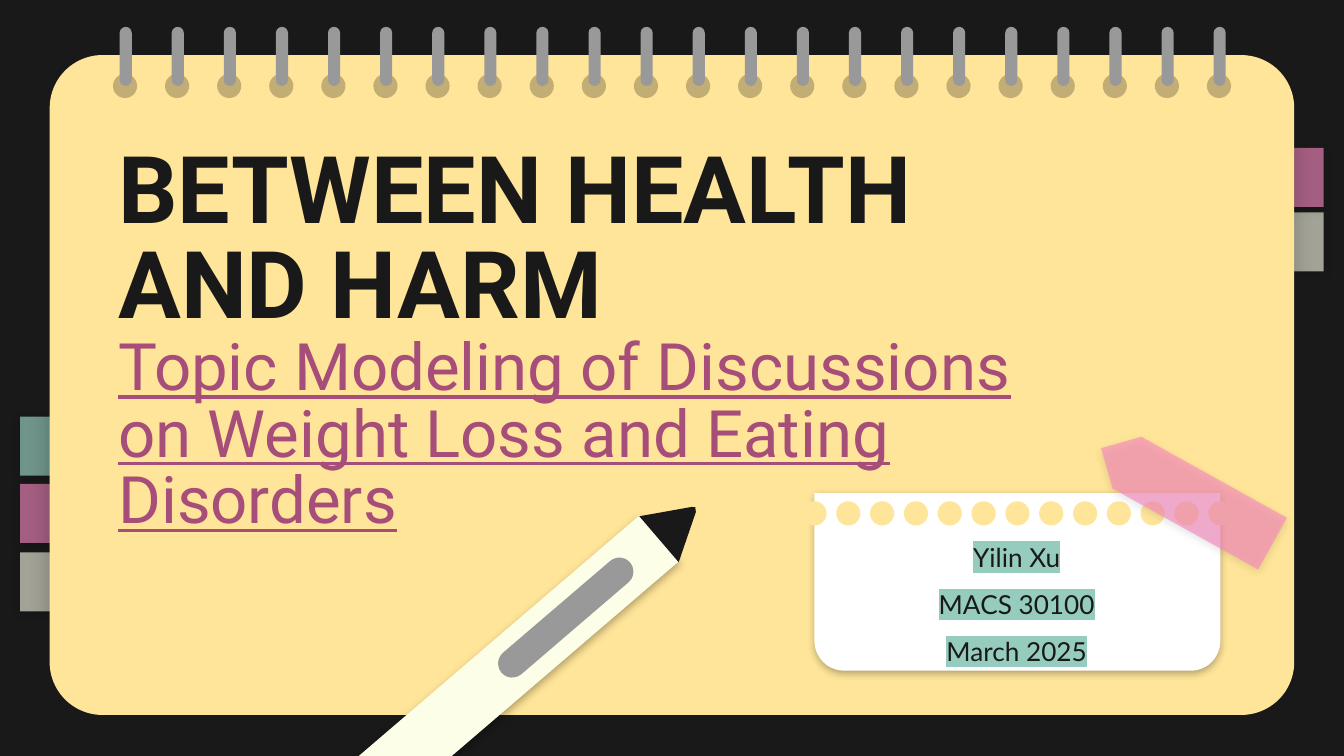
from dataclasses import dataclass
from typing import Optional

import pptx
import pptx.dml.color
import pptx.enum.shapes
import pptx.enum.text
import pptx.oxml
import pptx.oxml.ns
import pptx.util
from pptx.util import Inches

MSO = pptx.enum.shapes.MSO_SHAPE
COLORS = {
    "ink": "191919", "black": "000000", "paper": "FFE599", "white": "FFFFFF",
    "cream": "FCFEE8", "pink": "F688BE", "teal": "96CCBE", "gray": "999999",
    "plum": "A64D79",
}
PEN_ANGLE = 319.4


@dataclass
class Shadow:
    color: str = "black"
    alpha: int = 25
    blur: float = 4.5
    dist: float = 1.5
    angle: int = 90


@dataclass
class Part:
    """A preset shape; lengths in inches, alpha in percent."""
    kind: int
    left: float
    top: float
    width: float
    height: float
    color: str
    alpha: int = 100
    adj: tuple = ()
    rotation: float = 0
    shadow: Optional[Shadow] = None


def rgb(name: str) -> pptx.dml.color.RGBColor:
    return pptx.dml.color.RGBColor.from_string(COLORS[name])


def element(xml: str):
    """Parse a drawing element, adding the namespace after its tag name."""
    tag, rest = xml.split(" ", 1)
    return pptx.oxml.parse_xml(f"{tag} {pptx.oxml.ns.nsdecls('a')} {rest}")


def paint(sp, color: str, alpha: int = 100, shadow: Optional[Shadow] = None) -> None:
    sp.fill.solid()
    sp.fill.fore_color.rgb = rgb(color)
    sp.line.fill.background()
    sp.shadow.inherit = False
    props = sp._element.spPr
    if alpha < 100:
        clr = props.find(".//" + pptx.oxml.ns.qn("a:srgbClr"))
        clr.append(element(f'<a:alpha val="{alpha * 1000}"/>'))
    if shadow:
        props.find(pptx.oxml.ns.qn("a:effectLst")).append(element(
            f'<a:outerShdw blurRad="{int(shadow.blur * 12700)}" '
            f'dist="{int(shadow.dist * 12700)}" dir="{shadow.angle * 60000}" '
            f'algn="bl" rotWithShape="0"><a:srgbClr val="{COLORS[shadow.color]}">'
            f'<a:alpha val="{shadow.alpha * 1000}"/></a:srgbClr></a:outerShdw>'))


def draw(s, part: Part) -> None:
    sp = s.shapes.add_shape(part.kind, Inches(part.left), Inches(part.top),
                            Inches(part.width), Inches(part.height))
    for i, value in enumerate(part.adj):
        sp.adjustments[i] = value
    sp.rotation = part.rotation
    paint(sp, part.color, part.alpha, part.shadow)


def add_run(p, text: str, font: str, size: int, color: str,
            bold: bool = False, underline: bool = False, highlight: str = "") -> None:
    r = p.add_run()
    r.text = text
    r.font.size = pptx.util.Pt(size)
    r.font.bold = bold
    r.font.underline = underline
    r.font.color.rgb = rgb(color)
    if highlight:
        r._r.rPr.append(element(
            f'<a:highlight ><a:srgbClr val="{COLORS[highlight]}"/></a:highlight>'))
    r.font.name = font


def set_frame(tf, anchor) -> None:
    tf.word_wrap = True
    tf.auto_size = pptx.enum.text.MSO_AUTO_SIZE.NONE
    tf.vertical_anchor = anchor
    tf.margin_left = tf.margin_right = tf.margin_top = tf.margin_bottom = Inches(0.1)


def draw_notebook(s) -> None:
    # Index tabs tucked behind the page
    for left, top, color, alpha in [
        (0.15, 4.11, "cream", 61), (0.15, 3.6, "pink", 64), (0.15, 3.1, "teal", 70),
        (8.39, 1.58, "cream", 61), (8.39, 1.1, "pink", 64),
    ]:
        draw(s, Part(MSO.RECTANGLE, left, top, 1.46, 0.44, color, alpha, shadow=Shadow()))
    # Page
    draw(s, Part(MSO.ROUNDED_RECTANGLE, 0.37, 0.41, 9.26, 4.91, "paper", adj=(0.08,),
                 shadow=Shadow("ink", 26, 11.2, 0.8, 124)))
    # Spiral binding
    rings = 22
    pitch = (8.98 - 0.84) / (rings - 1)
    for i in range(rings):
        left = 0.84 + i * pitch
        draw(s, Part(MSO.OVAL, left, 0.55, 0.18, 0.18, "black", 24))
        draw(s, Part(MSO.ROUNDED_RECTANGLE, left + 0.05, 0.2, 0.09, 0.44, "gray", adj=(0.5,)))


def draw_title(s) -> None:
    title = s.shapes.title
    s.shapes._spTree.append(title._element)  # bring in front of the page
    title.left, title.top = Inches(0.78), Inches(1.05)
    title.width, title.height = Inches(7.27), Inches(2.99)
    set_frame(title.text_frame, pptx.enum.text.MSO_ANCHOR.MIDDLE)
    p = title.text_frame.paragraphs[0]
    p.alignment = pptx.enum.text.PP_ALIGN.LEFT
    p.line_spacing = 0.85
    add_run(p, "BETWEEN HEALTH AND HARM", "Roboto", 50, "ink", bold=True)
    p.add_line_break()
    add_run(p, "Topic Modeling of Discussions on Weight Loss and Eating Disorders",
            "Roboto", 35, "plum", underline=True)


def draw_card(s) -> None:
    # Torn-off note with punched holes
    draw(s, Part(MSO.ROUND_2_SAME_RECTANGLE, 6.06, 3.67, 3.02, 1.32, "white",
                 adj=(0.167, 0), rotation=180, shadow=Shadow(alpha=30)))
    holes = 13
    pitch = (8.99 - 5.97) / (holes - 1)
    for i in range(holes):
        draw(s, Part(MSO.OVAL, 5.97 + i * pitch, 3.73, 0.18, 0.18, "paper"))
    # Author, course and date
    box = s.shapes.add_textbox(Inches(6.24), Inches(3.81), Inches(2.65), Inches(0.71))
    tf = box.text_frame
    set_frame(tf, pptx.enum.text.MSO_ANCHOR.TOP)
    for i, text in enumerate(["Yilin Xu", "MACS 30100", "March 2025"]):
        p = tf.add_paragraph() if i else tf.paragraphs[0]
        p.alignment = pptx.enum.text.PP_ALIGN.CENTER
        p.line_spacing = 1.5
        add_run(p, text, "Lato", 14, "ink", highlight="teal")
    # Tape
    draw(s, Part(MSO.PENTAGON, 8.1, 3.47, 1.46, 0.44, "pink", 64, adj=(0.5,),
                 rotation=209.1, shadow=Shadow(alpha=16)))


def draw_pen(s) -> None:
    # Barrel stands upright, so it turns a quarter less than the other parts
    draw(s, Part(MSO.ROUND_2_SAME_RECTANGLE, 2.72, 3.1, 0.45, 5.17, "cream",
                 adj=(0.5, 0), rotation=PEN_ANGLE - 90, shadow=Shadow(alpha=31)))
    # Tip
    outline = [(0, 0), (0.34, 0.2), (0.36, 0.22), (0.34, 0.25), (0, 0.45)]
    points = [(Inches(4.86 + x), Inches(3.67 + y)) for x, y in outline]
    builder = s.shapes.build_freeform(*points[0])
    builder.add_line_segments(points[1:], close=True)
    tip = builder.convert_to_shape()
    tip.rotation = PEN_ANGLE
    paint(tip, "ink")
    # Clip
    draw(s, Part(MSO.ROUNDED_RECTANGLE, 3.58, 4.49, 1.26, 0.21, "gray",
                 adj=(0.5,), rotation=PEN_ANGLE))


def main() -> None:
    prs = pptx.Presentation()
    prs.slide_width = Inches(10)
    prs.slide_height = prs.slide_width * 9 // 16
    s = prs.slides.add_slide(prs.slide_layouts[5])
    s.background.fill.solid()
    s.background.fill.fore_color.rgb = rgb("ink")
    draw_notebook(s)
    draw_title(s)
    draw_card(s)
    draw_pen(s)
    prs.save("out.pptx")


if __name__ == "__main__":
    main()
